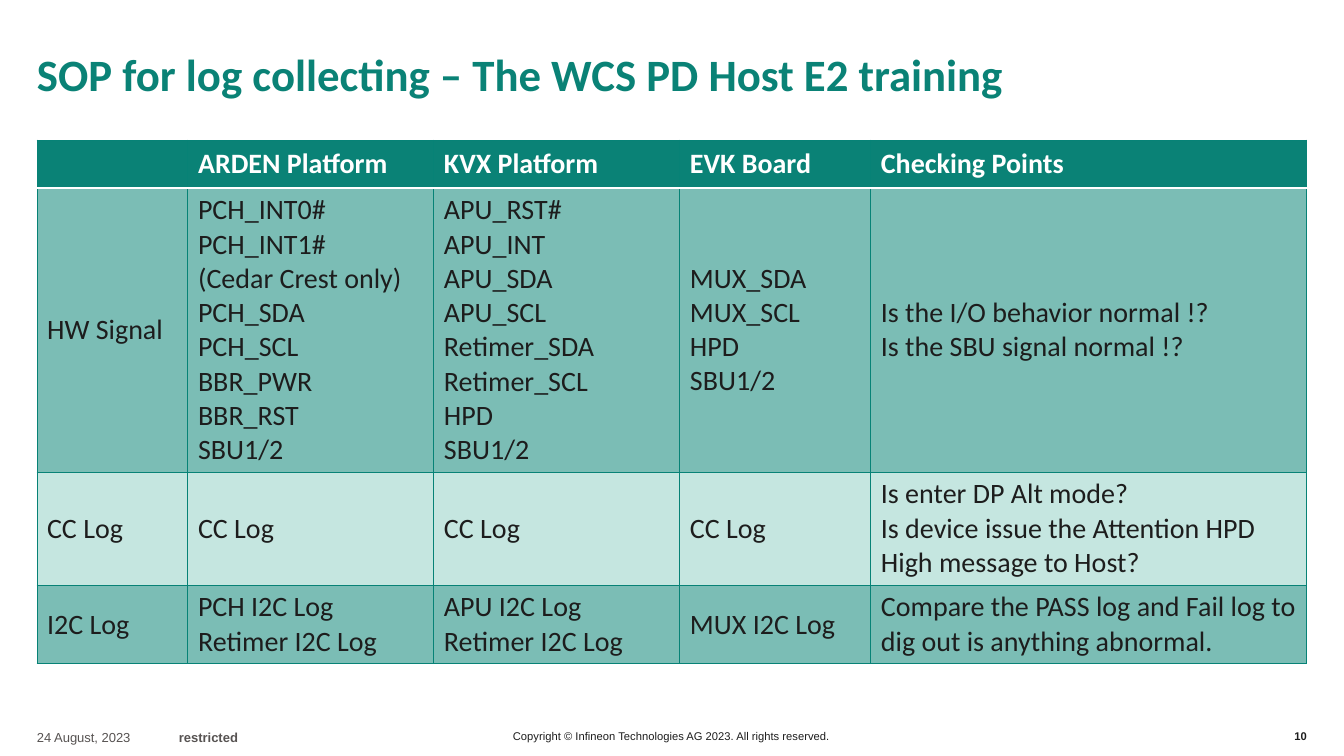
from dataclasses import dataclass

from lxml import etree
from pptx import Presentation
from pptx.dml.color import RGBColor
from pptx.enum.text import MSO_ANCHOR, PP_ALIGN
from pptx.oxml.ns import qn
from pptx.util import Pt

LEFT, CENTER, RIGHT = PP_ALIGN.LEFT, PP_ALIGN.CENTER, PP_ALIGN.RIGHT
MIDDLE, BOTTOM = MSO_ANCHOR.MIDDLE, MSO_ANCHOR.BOTTOM
PX_PER_INCH = 100.8


@dataclass(frozen=True)
class Theme:
    teal: str = "0A8276"
    band_dark: str = "7BBDB5"
    band_light: str = "C5E6E0"
    border: str = "078276"
    white: str = "FFFFFF"
    ink: str = "1D1D1D"
    grey: str = "575352"
    heading_font: str = "Calibri"
    footer_font: str = "Arial"
    title_size: float = 32
    table_size: float = 20
    date_size: float = 9.3
    footer_size: float = 8
    border_width: float = 0.75
    header_rule: float = 2


def px(length):
    return round(length * 914400 / PX_PER_INCH)


class SlideBuilder:
    def __init__(self, slide, theme):
        self.slide = slide
        self.theme = theme

    def style(self, frame, font, size, color, bold=False, align=LEFT):
        values = {"name": font, "size": Pt(size), "bold": bold}
        for paragraph in frame.paragraphs:
            paragraph.alignment = align
            for run in paragraph.runs:
                for attribute, value in values.items():
                    setattr(run.font, attribute, value)
                run.font.color.rgb = RGBColor.from_string(color)

    def text(self, words, box, font, size, color, bold=False, align=LEFT,
             anchor=MIDDLE, space_after=0):
        frame = self.slide.shapes.add_textbox(*map(px, box)).text_frame
        settings = {"word_wrap": True, "vertical_anchor": anchor,
                    "margin_left": 0, "margin_right": 0,
                    "margin_top": 0, "margin_bottom": 0}
        for attribute, value in settings.items():
            setattr(frame, attribute, value)
        frame.text = words
        frame.paragraphs[0].space_after = Pt(space_after)
        self.style(frame, font, size, color, bold, align)

    def borders(self, cell, lines):
        properties = cell._tc.get_or_add_tcPr()
        for side, (color, width) in lines.items():
            line = etree.SubElement(properties, qn(f"a:ln{side}"), w=str(Pt(width)))
            fill = etree.SubElement(line, qn("a:solidFill"))
            etree.SubElement(fill, qn("a:srgbClr"), val=color)

    def table(self, rows, left, top, widths, heights):
        theme = self.theme
        box = map(px, (left, top, sum(widths), sum(heights)))
        grid = self.slide.shapes.add_table(len(rows), len(widths), *box).table
        for column, width in zip(grid.columns, widths):
            column.width = px(width)
        for row, height in zip(grid.rows, heights):
            row.height = px(height)

        edge = (theme.border, theme.border_width)
        rule = (theme.white, theme.header_rule)
        for r, row in enumerate(rows):
            header = r == 0
            band = theme.band_dark if r % 2 else theme.band_light
            lines = {"L": edge, "R": edge,
                     "T": rule if r == 1 else edge,
                     "B": rule if header else edge}
            for c, words in enumerate(row):
                cell = grid.cell(r, c)
                cell.text_frame.text = words
                cell.vertical_anchor = MIDDLE
                self.borders(cell, lines)
                cell.fill.solid()
                cell.fill.fore_color.rgb = RGBColor.from_string(
                    theme.teal if header else band)
                self.style(cell.text_frame, theme.heading_font, theme.table_size,
                           theme.white if header else theme.ink, bold=header)


LOG_ROWS = [
    ["", "ARDEN Platform", "KVX Platform", "EVK Board", "Checking Points"],
    ["HW Signal",
     "PCH_INT0#\nPCH_INT1#\v(Cedar Crest only)\nPCH_SDA\nPCH_SCL\n"
     "BBR_PWR\nBBR_RST\nSBU1/2",
     "APU_RST#\vAPU_INT\nAPU_SDA\nAPU_SCL\nRetimer_SDA\nRetimer_SCL\nHPD\vSBU1/2",
     "MUX_SDA\nMUX_SCL\nHPD\nSBU1/2",
     "Is the I/O behavior normal !?\nIs the SBU signal normal !?"],
    ["CC Log"] * 4 + [
        "Is enter DP Alt mode?\n"
        "Is device issue the Attention HPD High message to Host?"],
    ["I2C Log", "PCH I2C Log\vRetimer I2C Log", "APU I2C Log\vRetimer I2C Log",
     "MUX I2C Log",
     "Compare the PASS log and Fail log to dig out is anything abnormal."],
]


def main():
    deck = Presentation()
    deck.slide_width, deck.slide_height = px(1344), px(756)
    theme = Theme()
    builder = SlideBuilder(deck.slides.add_slide(deck.slide_layouts[6]), theme)

    # Footer
    small = (theme.footer_font, theme.footer_size, theme.ink)
    dated = (theme.footer_font, theme.date_size, theme.grey)
    builder.text("10", (1265, 716, 42, 40), *small, bold=True, align=RIGHT)
    builder.text("Copyright © Infineon Technologies AG 2023. All rights reserved.",
                 (501, 716, 341, 39), *small, align=CENTER, space_after=3)
    builder.text("24 August, 2023", (37, 721, 130, 33), *dated)
    builder.text("restricted", (179, 721, 90, 33), *dated, bold=True)

    # Log table
    builder.table(LOG_ROWS, left=37, top=140, widths=[151, 246, 246, 191, 436],
                  heights=[48, 284, 113, 79])

    # Title
    builder.text("SOP for log collecting – The WCS PD Host E2 training",
                 (37, 21, 1060, 79), theme.heading_font, theme.title_size,
                 theme.teal, bold=True, anchor=BOTTOM)

    deck.save("out.pptx")


if __name__ == "__main__":
    main()
